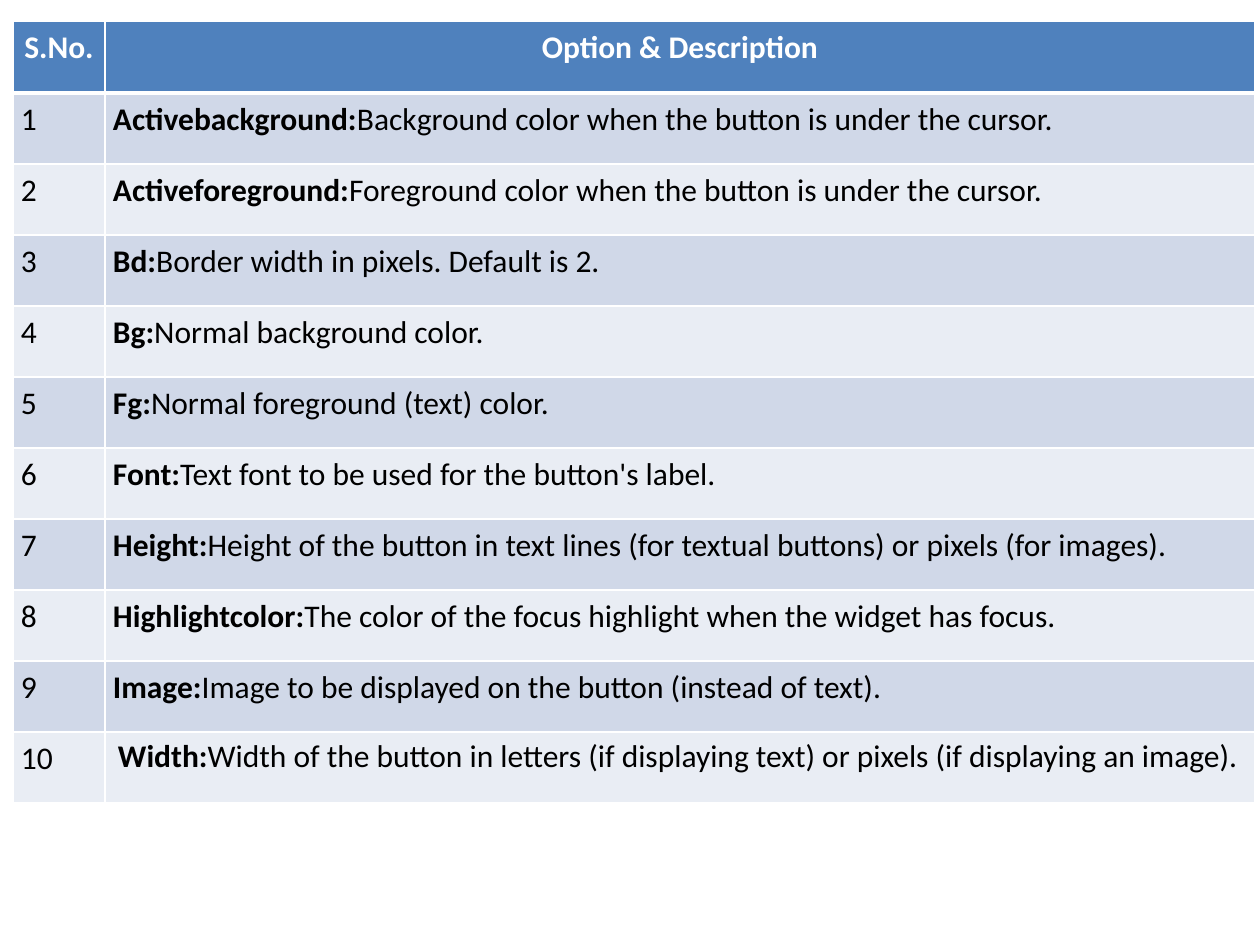
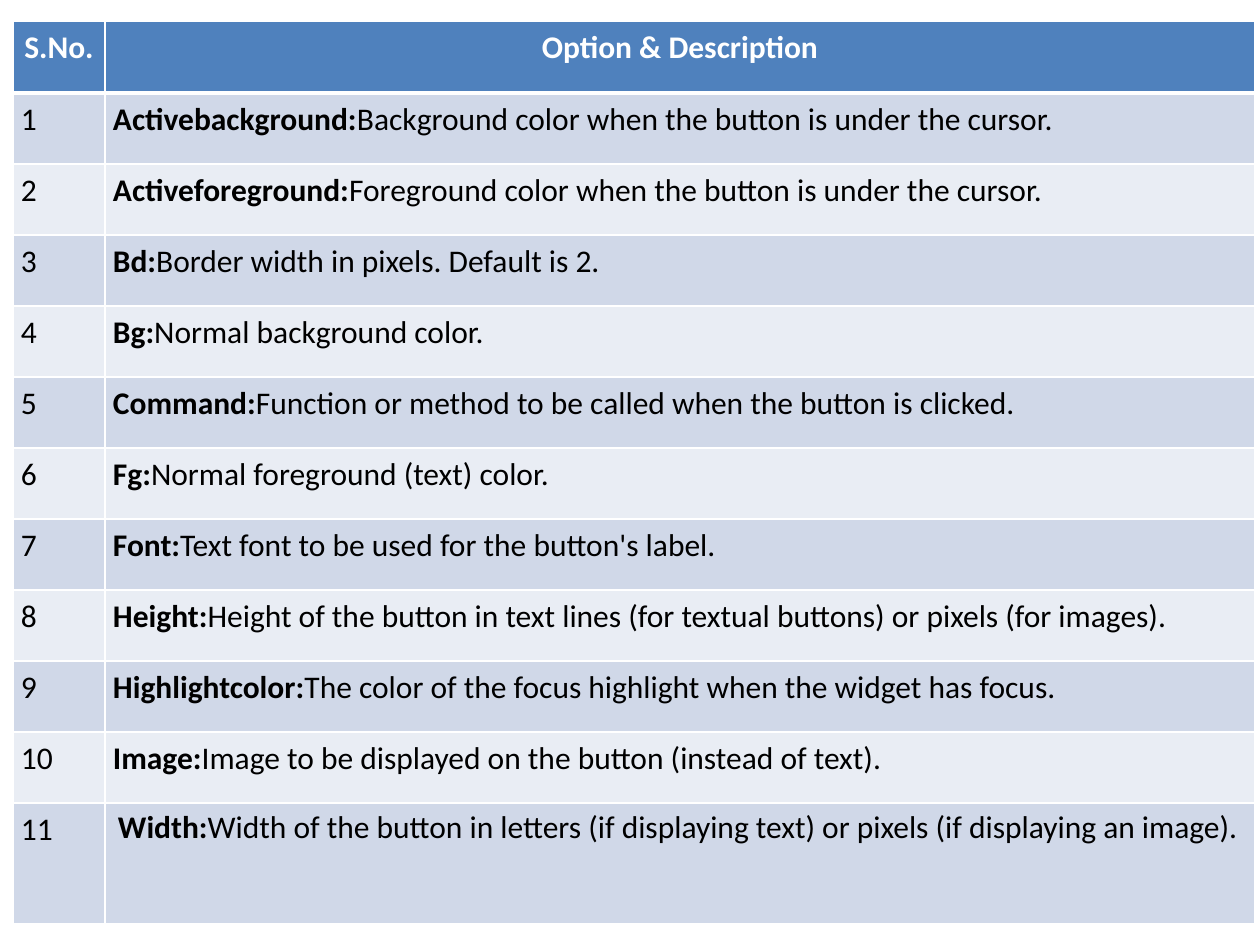
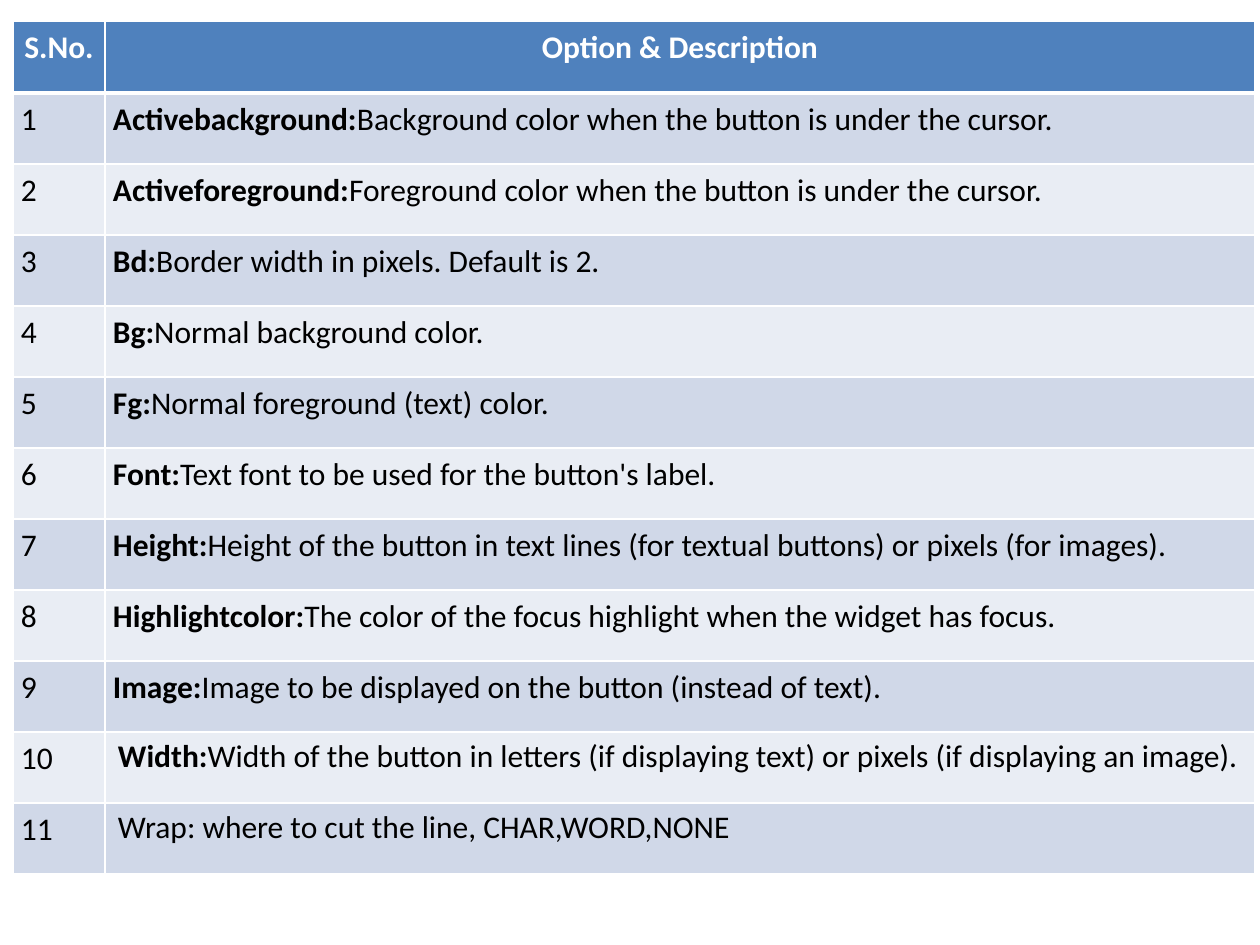
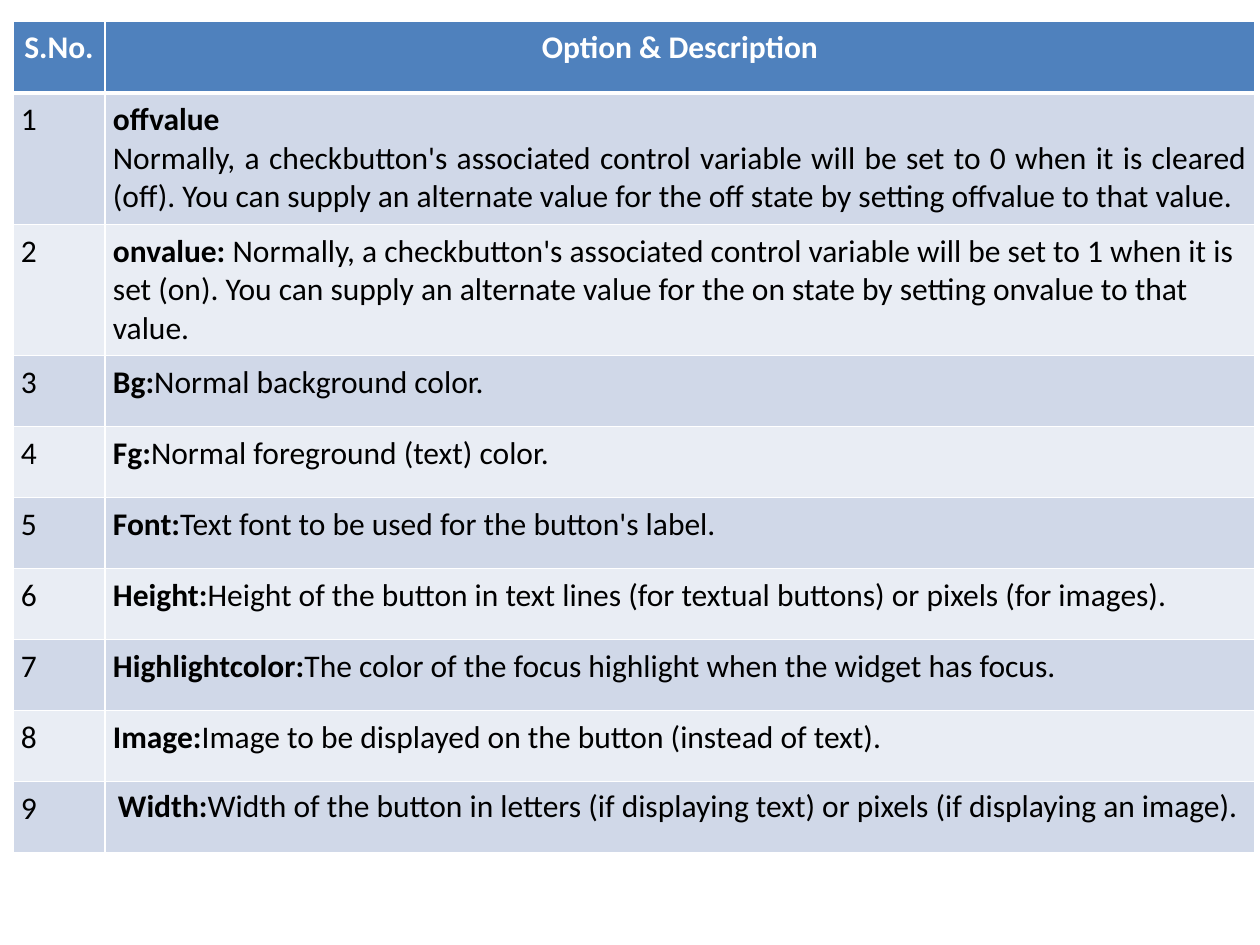
from dataclasses import dataclass

from lxml import etree
from pptx import Presentation
from pptx.dml.color import RGBColor
from pptx.enum.text import PP_ALIGN
from pptx.oxml.ns import qn
from pptx.util import Inches, Pt

LEFT, CENTER, JUSTIFY = PP_ALIGN.LEFT, PP_ALIGN.CENTER, PP_ALIGN.JUSTIFY
PX = Inches(1) / 126


def px(length):
    return round(length * PX)


@dataclass(frozen=True)
class Theme:
    font: str = "Calibri"
    size: int = 18
    header_fill: str = "4F81BD"
    header_text: str = "FFFFFF"
    body_text: str = "000000"
    bands: tuple = ("D0D8E8", "E9EDF4")
    rule: str = "FFFFFF"
    thin: int = 1
    thick: int = 3


@dataclass(frozen=True)
class Option:
    label: str
    description: str
    align: PP_ALIGN = JUSTIFY
    stacked: bool = False  # label on its own line
    margins: tuple = (8, 8)  # horizontal, vertical

    def paragraphs(self):
        label, description = (self.label, True), (self.description, False)
        if self.stacked:
            return [[label], [description]]
        return [[run for run in (label, description) if run[0]]]


# Layout
SLIDE_SIZE = (1260, 945)
TABLE_LEFT, TABLE_TOP = 13, 21
COLUMNS = (92, 1150)
HEADER_HEIGHT, ROW_HEIGHT, TALL_ROW_HEIGHT = 72, 71, 121
WIDE_MARGINS = (13, 6)

# Content
HEADINGS = ("S.No.", "Option & Description")
ACTIVE = [
    Option("Activebackground:", "Background color when the button is under the cursor."),
    Option("Activeforeground:", "Foreground color when the button is under the cursor."),
    Option("Bd:", "Border width in pixels. Default is 2."),
]
BG = Option("Bg:", "Normal background color.")
COMMAND = Option("Command:", "Function or method to be called when the button is clicked.")
COMMON = [
    Option("Fg:", "Normal foreground (text) color."),
    Option("Font:", "Text font to be used for the button's label."),
    Option("Height:", "Height of the button in text lines (for textual buttons) "
           "or pixels (for images)."),
    Option("Highlightcolor:", "The color of the focus highlight when the widget has focus."),
    Option("Image:", "Image to be displayed on the button (instead of text)."),
    Option("Width:", "Width of the button in letters (if displaying text) "
           "or pixels (if displaying an image).", LEFT, margins=WIDE_MARGINS),
]
WRAP = Option("", "Wrap: where to cut the line, CHAR,WORD,NONE", LEFT, margins=WIDE_MARGINS)
CHECK_VALUES = [
    Option("offvalue", "Normally, a checkbutton's associated control variable will be set "
           "to 0 when it is cleared (off). You can supply an alternate value for the off "
           "state by setting offvalue to that value.", stacked=True),
    Option("onvalue: ", "Normally, a checkbutton's associated control variable will be set "
           "to 1 when it is set (on). You can supply an alternate value for the on "
           "state by setting onvalue to that value.", LEFT),
]


class Deck:
    def __init__(self, theme):
        self.theme = theme
        self.presentation = Presentation()
        self.presentation.slide_width, self.presentation.slide_height = map(px, SLIDE_SIZE)
        self.slide = None

    def new_slide(self):
        self.slide = self.presentation.slides.add_slide(self.presentation.slide_layouts[6])

    def borders(self, cell, top, bottom):
        properties = cell._tc.get_or_add_tcPr()
        thin = self.theme.thin
        for side, width in (("L", thin), ("R", thin), ("T", top), ("B", bottom)):
            line = etree.SubElement(properties, qn(f"a:ln{side}"), w=str(Pt(width)))
            fill = etree.SubElement(line, qn("a:solidFill"))
            etree.SubElement(fill, qn("a:srgbClr"), val=self.theme.rule)

    def cell(self, cell, paragraphs, fill, color, align, margins=(8, 8),
             top=None, bottom=None):
        theme = self.theme
        self.borders(cell, top or theme.thin, bottom or theme.thin)
        cell.fill.solid()
        cell.fill.fore_color.rgb = RGBColor.from_string(fill)
        cell.margin_left = cell.margin_right = px(margins[0])
        cell.margin_top = cell.margin_bottom = px(margins[1])
        frame = cell.text_frame
        for index, runs in enumerate(paragraphs):
            paragraph = frame.add_paragraph() if index else frame.paragraphs[0]
            paragraph.alignment = align
            paragraph.font.name = theme.font
            paragraph.font.size = Pt(theme.size)
            paragraph.font.color.rgb = RGBColor.from_string(color)
            for text, bold in runs:
                run = paragraph.add_run()
                run.text = text
                run.font.bold = bold

    def option_table(self, options, last_height=ROW_HEIGHT):
        theme = self.theme
        heights = [HEADER_HEIGHT] + [ROW_HEIGHT] * (len(options) - 1) + [last_height]
        table = self.slide.shapes.add_table(
            len(heights), len(COLUMNS), px(TABLE_LEFT), px(TABLE_TOP),
            px(sum(COLUMNS)), px(sum(heights))).table
        for column, width in zip(table.columns, COLUMNS):
            column.width = px(width)
        for row, height in zip(table.rows, heights):
            row.height = px(height)

        # Header row
        for column, heading in enumerate(HEADINGS):
            self.cell(table.cell(0, column), [[(heading, True)]], theme.header_fill,
                      theme.header_text, CENTER, bottom=theme.thick)

        # Numbered options on alternating bands
        for number, option in enumerate(options, 1):
            band = theme.bands[(number - 1) % 2]
            top = theme.thick if number == 1 else theme.thin
            self.cell(table.cell(number, 0), [[(str(number), False)]], band,
                      theme.body_text, LEFT, top=top)
            self.cell(table.cell(number, 1), option.paragraphs(), band,
                      theme.body_text, option.align, option.margins, top=top)


def main():
    deck = Deck(Theme())
    for options, last_height in (
        (ACTIVE + [BG] + COMMON, ROW_HEIGHT),
        (ACTIVE + [BG, COMMAND] + COMMON, TALL_ROW_HEIGHT),
        (ACTIVE + [BG] + COMMON + [WRAP], ROW_HEIGHT),
        (CHECK_VALUES + [BG] + COMMON, ROW_HEIGHT),
    ):
        deck.new_slide()
        deck.option_table(options, last_height)
    deck.presentation.save("out.pptx")


if __name__ == "__main__":
    main()
